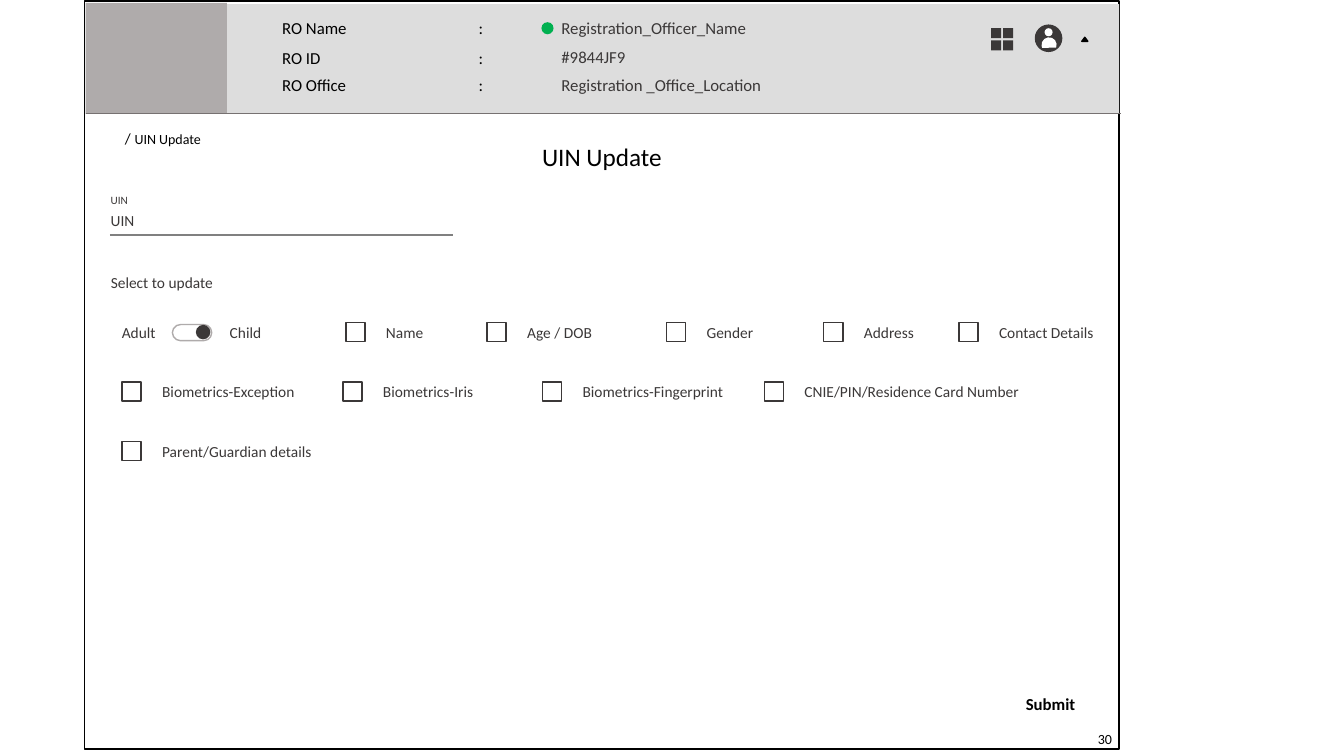
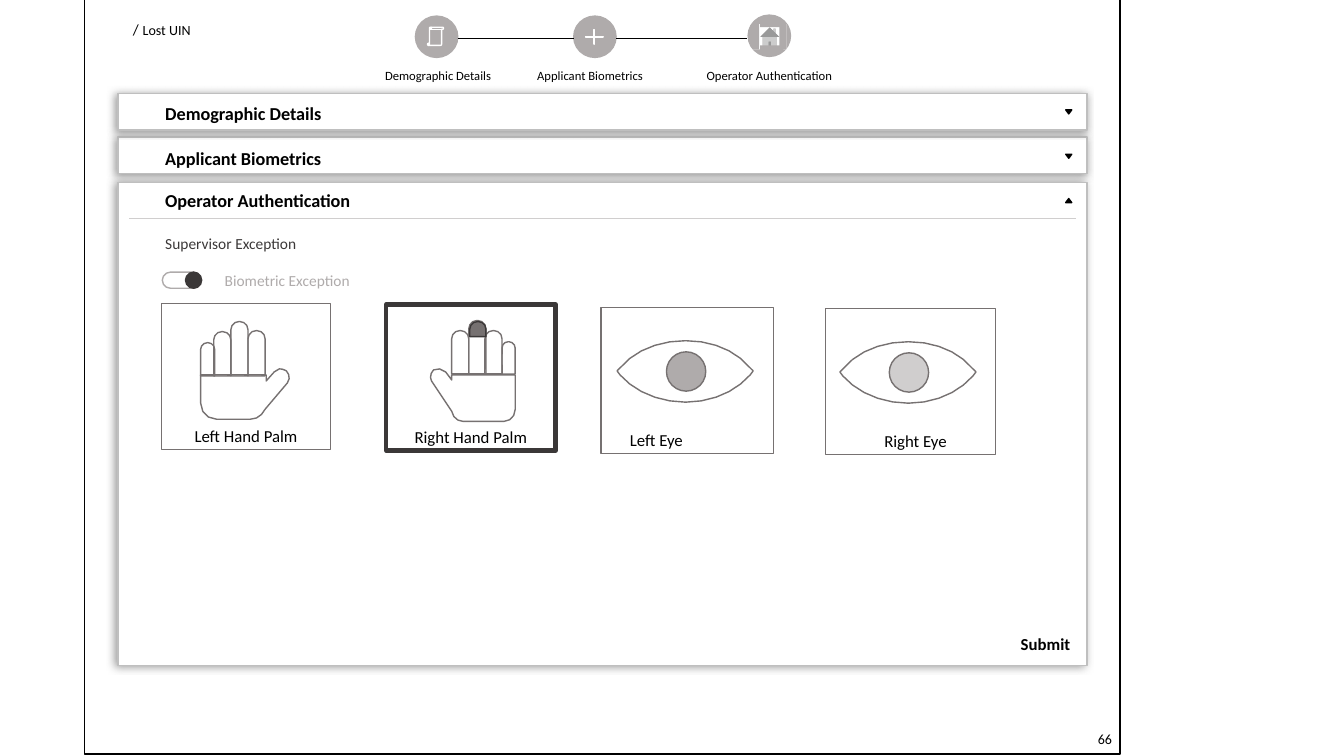
from lxml.etree import SubElement
from pptx import Presentation
from pptx.dml.color import RGBColor
from pptx.enum.shapes import MSO_CONNECTOR, MSO_SHAPE as Shape
from pptx.enum.text import MSO_AUTO_SIZE, PP_ALIGN as Align
from pptx.oxml.ns import qn
from pptx.util import Inches, Pt

COLORS = {
    "black": "000000", "white": "FFFFFF", "dark": "3B3838", "outline": "767171",
    "gray": "AFABAB", "band": "DDDDDD", "field": "808080", "border": "BFBFBF",
    "rule": "D0CECE", "green": "00B050",
}
FONT = "Calibri"


def add_shape(slide, kind, at, fill=None, line=None, width=1, adjust=(), rotation=0):
    shape = slide.shapes.add_shape(kind, *map(Inches, at))
    shape.shadow.inherit = False
    shape.rotation = rotation
    for index, value in enumerate(adjust):
        shape.adjustments[index] = value
    if fill:
        shape.fill.solid()
        shape.fill.fore_color.rgb = RGBColor.from_string(COLORS[fill])
    else:
        shape.fill.background()
    if line:
        shape.line.color.rgb = RGBColor.from_string(COLORS[line])
        shape.line.width = Pt(width)
    else:
        shape.line.fill.background()
    return shape


def add_text(slide, at, text, size, color="black", bold=False, align=None, wrap=False):
    frame = slide.shapes.add_textbox(*map(Inches, at)).text_frame
    frame.word_wrap = wrap
    frame.auto_size = MSO_AUTO_SIZE.SHAPE_TO_FIT_TEXT
    paragraph = frame.paragraphs[0]
    paragraph.text = text
    if align:
        paragraph.alignment = align
    font = paragraph.font
    font.name, font.size, font.bold = FONT, Pt(size), bold
    font.color.rgb = RGBColor.from_string(COLORS[color])
    return paragraph


presentation = Presentation()
presentation.slide_width, presentation.slide_height = Inches(13.33), Inches(7.5)
blank = presentation.slide_layouts[6]
update_slide = presentation.slides.add_slide(blank)
lost_slide = presentation.slides.add_slide(blank)

# Accordion panels with a soft shadow
for top, height in ((1.36, 0.36), (1.81, 4.79), (0.93, 0.36)):
    panel = add_shape(lost_slide, Shape.ROUNDED_RECTANGLE, (1.17, top, 9.61, height),
                      "white", "border", adjust=[0])
    effects = panel._element.spPr.find(qn("a:effectLst"))
    shadow = SubElement(effects, qn("a:outerShdw"), blurRad=str(Pt(6)),
                        dist=str(Pt(2)), dir=str(170 * 60000), rotWithShape="0")
    shadow_color = SubElement(shadow, qn("a:srgbClr"), val=COLORS["field"])
    SubElement(shadow_color, qn("a:alpha"), val="80000")

# Window frame, breadcrumb, submit and page number
for slide, frame_at, crumb_at, crumb, submit_at, number in (
    (update_slide, (0.84, 0.01, 10.26, 7.42), (1.14, 1.22, 0.97, 0.3), "UIN Update",
     (10.07, 6.83, 0.7, 0.3), "30"),
    (lost_slide, (0.84, -0.02, 10.27, 7.5), (1.22, 0.14, 0.78, 0.3), "Lost UIN",
     (10.02, 6.24, 0.7, 0.3), "66"),
):
    add_shape(slide, Shape.RECTANGLE, frame_at, line="black")
    breadcrumb = add_text(slide, crumb_at, "/", 11)
    for text, size in ((" ", 12), (crumb, 10)):
        run = breadcrumb.add_run()
        run.text = text
        run.font.size = Pt(size)
    add_text(slide, submit_at, "Submit", 12, bold=True, align=Align.CENTER)
    add_text(slide, (10.79, 7.2, 0.48, 0.27), number, 10, wrap=True)

# Officer header: label, colon and value columns
add_shape(update_slide, Shape.RECTANGLE, (0.86, 0.04, 10.24, 1.09), "band")
add_shape(update_slide, Shape.RECTANGLE, (0.85, 0.03, 1.4, 1.1), "gray")
for label, label_top, value, value_top in (
    ("RO Name", 0.13, "Registration_Officer_Name", 0.13),
    ("RO ID", 0.42, "#9844JF9", 0.41),
    ("RO Office", 0.69, "Registration _Office_Location", 0.69),
):
    for left, top, width, text, color in (
        (2.7, label_top, 1.5, label, "black"),
        (4.65, label_top, 0.3, ":", "black"),
        (5.47, value_top, 2.5, value, "dark"),
    ):
        add_text(update_slide, (left, top, width, 0.3), text, 12, color, wrap=True)
add_shape(update_slide, Shape.OVAL, (5.37, 0.22, 0.12, 0.12), "green")

# User and grid icons
add_shape(update_slide, Shape.OVAL, (10.27, 0.25, 0.26, 0.26), "dark", "dark")
add_shape(update_slide, Shape.OVAL, (10.36, 0.28, 0.08, 0.08), "white")
add_shape(update_slide, Shape.CHORD, (10.33, 0.37, 0.15, 0.15), "white", rotation=111.5)
for left in (9.83, 9.95):
    for top in (0.28, 0.4):
        add_shape(update_slide, Shape.RECTANGLE, (left, top, 0.1, 0.1), "dark")

# Title and form labels
add_text(update_slide, (4.69, 1.35, 2.56, 0.4), "UIN Update", 18,
         align=Align.CENTER, wrap=True)
for text, size, at in (
    ("UIN", 8, (1, 1.87, 0.37, 0.24)),
    ("UIN", 11, (1, 2.04, 0.44, 0.29)),
    ("Select to update", 11, (1, 2.66, 1.22, 0.29)),
    ("Adult", 11, (1.11, 3.16, 0.54, 0.29)),
    ("Child", 11, (2.18, 3.16, 0.52, 0.29)),
):
    add_text(update_slide, at, text, size, "dark")

# Checkbox rows: left edge, label, label width
for top, options in (
    (3.2, ((3.43, "Name", 0.58), (4.83, "Age / DOB", 0.85), (6.61, "Gender", 0.67),
           (8.17, "Address", 0.7), (9.51, "Contact Details", 1.15))),
    (3.79, ((1.21, "Biometrics-Exception", 1.53), (3.4, "Biometrics-Iris", 1.1),
            (5.38, "Biometrics-Fingerprint", 1.6),
            (7.58, "CNIE/PIN/Residence Card Number", 2.35))),
    (4.38, ((1.21, "Parent/Guardian details", 1.7),)),
):
    for left, label, width in options:
        add_shape(update_slide, Shape.RECTANGLE, (left, top, 0.19, 0.19), line="dark")
        add_text(update_slide, (left + 0.3, top - 0.045, width, 0.29), label, 11, "dark")

# Step tracker
for left, top, label, label_left, label_width in (
    (4.12, 0.16, "Demographic Details", 3.72, 1.31),
    (5.69, 0.16, "Applicant Biometrics", 5.23, 1.33),
    (7.42, 0.15, "Operator Authentication", 6.91, 1.46),
):
    add_shape(lost_slide, Shape.OVAL, (left, top, 0.42, 0.41), "gray", "gray")
    add_text(lost_slide, (label_left, 0.62, label_width, 0.25), label, 9, wrap=True)
add_shape(lost_slide, Shape.VERTICAL_SCROLL, (4.24, 0.27, 0.16, 0.18), "gray", "white")
add_shape(lost_slide, Shape.MATH_PLUS, (5.78, 0.27, 0.23, 0.19), "white", "white",
          adjust=[0.042])
add_shape(lost_slide, Shape.ACTION_BUTTON_HOME, (7.47, 0.24, 0.33, 0.25), "white")
for mask_at in ((7.47, 0.24, 0.06, 0.25), (7.73, 0.24, 0.07, 0.25),
                (7.54, 0.45, 0.23, 0.05), (7.54, 0.22, 0.23, 0.05)):
    add_shape(lost_slide, Shape.RECTANGLE, mask_at, "gray")

# Panel headings
for top, heading in ((0.97, "Demographic Details"), (1.41, "Applicant Biometrics"),
                     (1.83, "Operator Authentication")):
    add_text(lost_slide, (1.54, top, 2.23, 0.32), heading, 13, bold=True, wrap=True)
add_text(lost_slide, (1.54, 2.27, 1.51, 0.29), "Supervisor Exception", 11, "dark")
add_text(lost_slide, (2.13, 2.64, 1.45, 0.29), "Biometric Exception", 11, "gray")

# Fingers: bottom edge, then left, top and width of each
for bottom, fingers in (
    (3.73, ((1.99, 3.4, 0.14), (2.12, 3.29, 0.17), (2.29, 3.19, 0.17), (2.46, 3.28, 0.17))),
    (3.71, ((4.48, 3.28, 0.17), (4.65, 3.18, 0.17), (4.81, 3.28, 0.17), (4.98, 3.39, 0.13))),
):
    for left, top, width in fingers:
        add_shape(lost_slide, Shape.ROUND_2_SAME_RECTANGLE,
                  (left, top, width, bottom - top), line="outline", adjust=[0.478, 0.033])
add_shape(lost_slide, Shape.ROUND_2_SAME_RECTANGLE, (4.66, 3.19, 0.16, 0.15),
          "outline", "dark", adjust=[0.5, 0])

# Palms and eyes: two numbers are a corner, six are a Bezier curve
left_palm = [
    (2.77, 3.66), (2.8, 3.66, 2.82, 3.67, 2.84, 3.68),
    (2.87, 3.71, 2.88, 3.76, 2.85, 3.8), (2.63, 4.06),
    (2.6, 4.12, 2.55, 4.16, 2.48, 4.16), (2.15, 4.16),
    (2.06, 4.16, 1.99, 4.09, 1.99, 4), (1.99, 3.72), (2.64, 3.72), (2.64, 3.78),
    (2.72, 3.69),
]
right_palm = [
    (4.36, 3.66), (4.42, 3.69), (4.48, 3.77), (4.48, 3.72), (5.11, 3.72), (5.11, 4.06),
    (5.11, 4.13, 5.06, 4.18, 5, 4.18), (4.59, 4.18),
    (4.54, 4.18, 4.49, 4.14, 4.48, 4.08), (4.28, 3.78),
    (4.26, 3.75, 4.27, 3.7, 4.3, 3.67),
]
eye = [
    (6.8, 3.38), (7.07, 3.38, 7.3, 3.48, 7.44, 3.65), (7.47, 3.68), (7.44, 3.72),
    (7.3, 3.88, 7.07, 3.99, 6.8, 3.99), (6.53, 3.99, 6.29, 3.88, 6.15, 3.72),
    (6.12, 3.68), (6.15, 3.65), (6.29, 3.48, 6.53, 3.38, 6.8, 3.38),
]
for outline, shift_x, shift_y, steps in ((left_palm, 0, 0, 3), (right_palm, 0, 0, 3),
                                         (eye, 0, 0, 5), (eye, 2.21, 0.01, 5)):
    points = []
    for segment in outline:
        if len(segment) == 2:
            points.append(segment)
            continue
        controls = [points[-1], segment[:2], segment[2:4], segment[4:]]
        for step in range(1, steps + 1):
            t = step / steps
            weights = ((1 - t) ** 3, 3 * t * (1 - t) ** 2, 3 * t * t * (1 - t), t ** 3)
            points.append(tuple(sum(w * c[axis] for w, c in zip(weights, controls))
                                for axis in (0, 1)))
    points = [(Inches(x + shift_x), Inches(y + shift_y)) for x, y in points]
    builder = lost_slide.shapes.build_freeform(*points[0])
    builder.add_line_segments(points[1:], close=True)
    drawing = builder.convert_to_shape()
    drawing.shadow.inherit = False
    drawing.fill.background()
    drawing.line.color.rgb = RGBColor.from_string(COLORS["outline"])
    drawing.line.width = Pt(1)
for left, top, fill in ((6.61, 3.49, "gray"), (8.82, 3.5, "rule")):
    add_shape(lost_slide, Shape.OVAL, (left, top, 0.39, 0.39), fill, "outline")

# Biometric cards and captions
for left, top, width, line, weight, caption, caption_left, caption_top in (
    (1.6, 3.01, 1.68, "outline", 1, "Left Hand Palm", 1.6, 4.17),
    (3.83, 3.02, 1.68, "dark", 3, "Right Hand Palm", 3.83, 4.18),
    (5.96, 3.05, 1.71, "outline", 1, "Left Eye", 5.67, 4.21),
    (8.19, 3.06, 1.68, "outline", 0.75, "Right Eye", 8.24, 4.22),
):
    add_shape(lost_slide, Shape.FLOWCHART_PROCESS, (left, top, width, 1.45),
              line=line, width=weight)
    add_text(lost_slide, (caption_left, caption_top, 1.68, 0.3), caption, 12,
             align=Align.CENTER, wrap=True)

# Toggles
for slide, left, top, knob_at in (
    (update_slide, 1.71, 3.22, (1.95, 3.23, 0.13, 0.13)),
    (lost_slide, 1.61, 2.7, (1.84, 2.7, 0.16, 0.16)),
):
    add_shape(slide, Shape.ROUNDED_RECTANGLE, (left, top, 0.39, 0.16), "white", "gray",
              adjust=[0.5])
    add_shape(slide, Shape.OVAL, knob_at, "dark", "dark")

# Expand and collapse arrows
for slide, left, top, rotation in ((update_slide, 10.73, 0.37, 0), (lost_slide, 10.57, 1.09, 180),
                                   (lost_slide, 10.57, 1.53, 180), (lost_slide, 10.57, 1.97, 0)):
    add_shape(slide, Shape.ISOSCELES_TRIANGLE, (left, top, 0.06, 0.04), "black", "black",
              rotation=rotation)

# Horizontal rules
for slide, start, end, y, color, width in (
    (update_slide, 0.85, 11.12, 1.12, "outline", 0.5),
    (update_slide, 1.09, 4.49, 2.33, "field", 1),
    (lost_slide, 4.54, 5.69, 0.38, "black", 0.5),
    (lost_slide, 6.11, 7.41, 0.38, "black", 0.5),
    (lost_slide, 1.28, 10.67, 2.17, "rule", 0.5),
):
    rule = slide.shapes.add_connector(MSO_CONNECTOR.STRAIGHT, Inches(start), Inches(y),
                                      Inches(end), Inches(y))
    rule.line.color.rgb = RGBColor.from_string(COLORS[color])
    rule.line.width = Pt(width)
    SubElement(rule._element.spPr, qn("a:effectLst"))

presentation.save("out.pptx")
